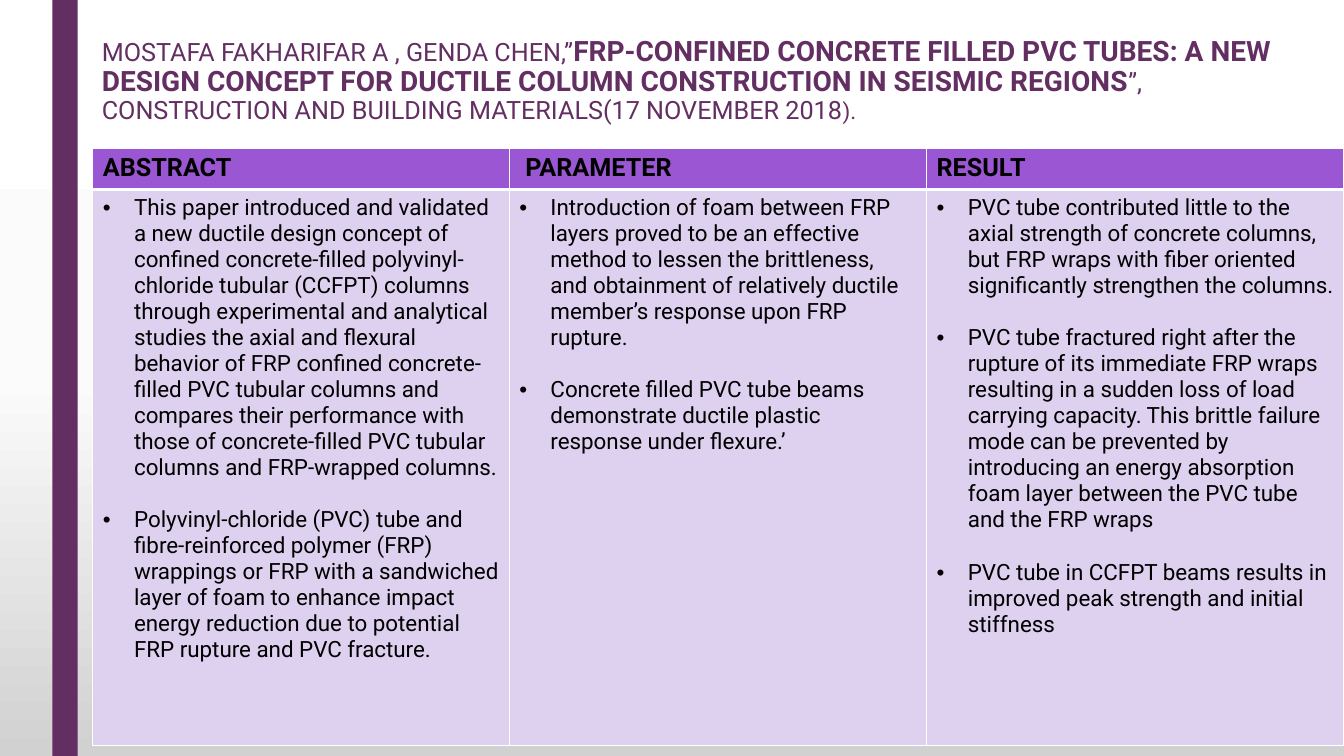
import pptx
import pptx.dml.color
import pptx.enum.shapes
import pptx.enum.text
import pptx.oxml
import pptx.oxml.ns
import pptx.util

Inches = pptx.util.Inches
Pt = pptx.util.Pt
RGBColor = pptx.dml.color.RGBColor

PLUM = RGBColor(0x63, 0x2E, 0x62)
VIOLET = RGBColor(0x9B, 0x57, 0xD3)
LILAC = RGBColor(0xDE, 0xD1, 0xEF)
BLACK = RGBColor(0, 0, 0)
WHITE = RGBColor(0xFF, 0xFF, 0xFF)
BACKDROP = [(0, WHITE), (50, RGBColor(0xFB, 0xFB, 0xFB)), (100, RGBColor(0xD1, 0xD1, 0xD1))]

CITATION = [
    ("MOSTAFA FAKHARIFAR A , GENDA CHEN,”", 18, False),
    ("FRP-CONFINED CONCRETE FILLED PVC TUBES: A NEW DESIGN CONCEPT FOR DUCTILE COLUMN "
     "CONSTRUCTION IN SEISMIC REGIONS", 20, True),
    ("’’, CONSTRUCTION AND BUILDING MATERIALS(17 NOVEMBER 2018", 18, False),
    (").", 16, False),
]
COLUMNS = [
    ("ABSTRACT", 4.13, 0.1, [
        "This paper introduced and validated a new ductile design concept of confined "
        "concrete-filled polyvinyl-chloride tubular (CCFPT) columns through experimental and "
        "analytical studies the axial and flexural behavior of FRP confined concrete-filled PVC "
        "tubular columns and compares their performance with those of concrete-filled PVC "
        "tubular columns and FRP-wrapped columns.",
        "Polyvinyl-chloride (PVC) tube and fibre-reinforced polymer (FRP) wrappings or FRP with "
        "a sandwiched layer of foam to enhance impact energy reduction due to potential FRP "
        "rupture and PVC fracture."]),
    ("PARAMETER", 4.14, 0.16, [
        "Introduction of foam between FRP layers proved to be an effective method to lessen the "
        "brittleness, and obtainment of relatively ductile member’s response upon FRP rupture.",
        "Concrete filled PVC tube beams demonstrate ductile plastic response under flexure.’"]),
    ("RESULT", 4.14, 0.1, [
        "PVC tube contributed little to the axial strength of concrete columns, but FRP wraps "
        "with fiber oriented significantly strengthen the columns.",
        "PVC tube fractured right after the rupture of its immediate FRP wraps resulting in a "
        "sudden loss of load carrying capacity. This brittle failure mode can be prevented by "
        "introducing an energy absorption foam layer between the PVC tube and the FRP wraps",
        "PVC tube in CCFPT beams results in improved peak strength and initial stiffness"]),
]


class PaperSlide:
    """Holds the style and the current slide, with a method per kind of element."""

    face = "Roboto"
    indent = Inches(0.31)
    bullet_gap = Pt(18.75)

    def __init__(self, prs):
        self.slide = prs.slides.add_slide(prs.slide_layouts[5])

    def style(self, font, size, color, bold=False):
        font.name = self.face
        font.size = Pt(size)
        font.bold = bold
        font.color.rgb = color

    def background(self, stops):
        fill = self.slide.background.fill
        fill.gradient()
        fill.gradient_angle = 270
        gs_list = self.slide.background._cSld.find(".//" + pptx.oxml.ns.qn("a:gsLst"))
        for gs in list(gs_list):
            gs_list.remove(gs)
        for percent, color in stops:
            gs_list.append(pptx.oxml.parse_xml(
                f'<a:gs {pptx.oxml.ns.nsdecls("a")} pos="{percent * 1000}">'
                f'<a:srgbClr val="{color}"/></a:gs>'))

    def bar(self, left, top, width, height, color):
        sp = self.slide.shapes.add_shape(
            pptx.enum.shapes.MSO_SHAPE.RECTANGLE,
            Inches(left), Inches(top), Inches(width), Inches(height))
        sp.shadow.inherit = False
        sp.fill.solid()
        sp.fill.fore_color.rgb = color
        sp.line.fill.background()

    def title(self, left, top, width, height, runs):
        sp = self.slide.shapes.title
        sp.left, sp.top = Inches(left), Inches(top)
        sp.width, sp.height = Inches(width), Inches(height)
        tf = sp.text_frame
        tf.word_wrap = True
        tf.auto_size = pptx.enum.text.MSO_AUTO_SIZE.NONE
        tf.vertical_anchor = pptx.enum.text.MSO_ANCHOR.MIDDLE
        p = tf.paragraphs[0]
        p.alignment = pptx.enum.text.PP_ALIGN.LEFT
        p.line_spacing = 0.89
        for text, size, bold in runs:
            r = p.add_run()
            r.text = text
            self.style(r.font, size, PLUM, bold)

    def cell(self, cell, color, top, bottom):
        cell.fill.solid()
        cell.fill.fore_color.rgb = color
        tc_pr = cell._tc.get_or_add_tcPr()
        sides = [("L", 1), ("R", 1), ("T", top), ("B", bottom)]
        for i, (side, width) in enumerate(sides):
            tc_pr.insert(i, pptx.oxml.parse_xml(
                f'<a:ln{side} {pptx.oxml.ns.nsdecls("a")} w="{Pt(width)}">'
                f'<a:solidFill><a:srgbClr val="{WHITE}"/></a:solidFill></a:ln{side}>'))

    def bullets(self, tf, items):
        for i, text in enumerate(items):
            p = tf.paragraphs[0] if i == 0 else tf.add_paragraph()
            p.text = text
            if i:
                p.space_before = self.bullet_gap
            p_pr = p._p.get_or_add_pPr()
            p_pr.set("marL", str(self.indent))
            p_pr.set("indent", str(-self.indent))
            for tag in ('buFont typeface="Arial"', 'buChar char="•"'):
                p_pr.append(pptx.oxml.parse_xml(f'<a:{tag} {pptx.oxml.ns.nsdecls("a")}/>'))
            self.style(p.font, 16, BLACK)

    def table(self, left, top, heights, columns):
        width = sum(column[1] for column in columns)
        table = self.slide.shapes.add_table(
            len(heights), len(columns), Inches(left), Inches(top),
            Inches(width), Inches(sum(heights))).table
        table.horz_banding = False
        for row, height in zip(table.rows, heights):
            row.height = Inches(height)
        for i, (heading, column_width, margin, items) in enumerate(columns):
            table.columns[i].width = Inches(column_width)
            head, body = table.cell(0, i), table.cell(1, i)
            self.cell(head, VIOLET, 1, 3)
            self.cell(body, LILAC, 3, 1)
            head.margin_left = Inches(margin)
            p = head.text_frame.paragraphs[0]
            p.text = heading
            self.style(p.font, 18, BLACK, True)
            self.bullets(body.text_frame, items)


def main():
    prs = pptx.Presentation()
    prs.slide_width, prs.slide_height = Inches(13.33), Inches(7.5)
    page = PaperSlide(prs)
    page.background(BACKDROP)
    page.bar(0.52, 0, 0.25, 7.5, PLUM)
    page.title(0.91, 0.31, 11.97, 0.99, CITATION)
    page.table(0.92, 1.47, [0.41, 5.52], COLUMNS)
    prs.save("out.pptx")


if __name__ == "__main__":
    main()
